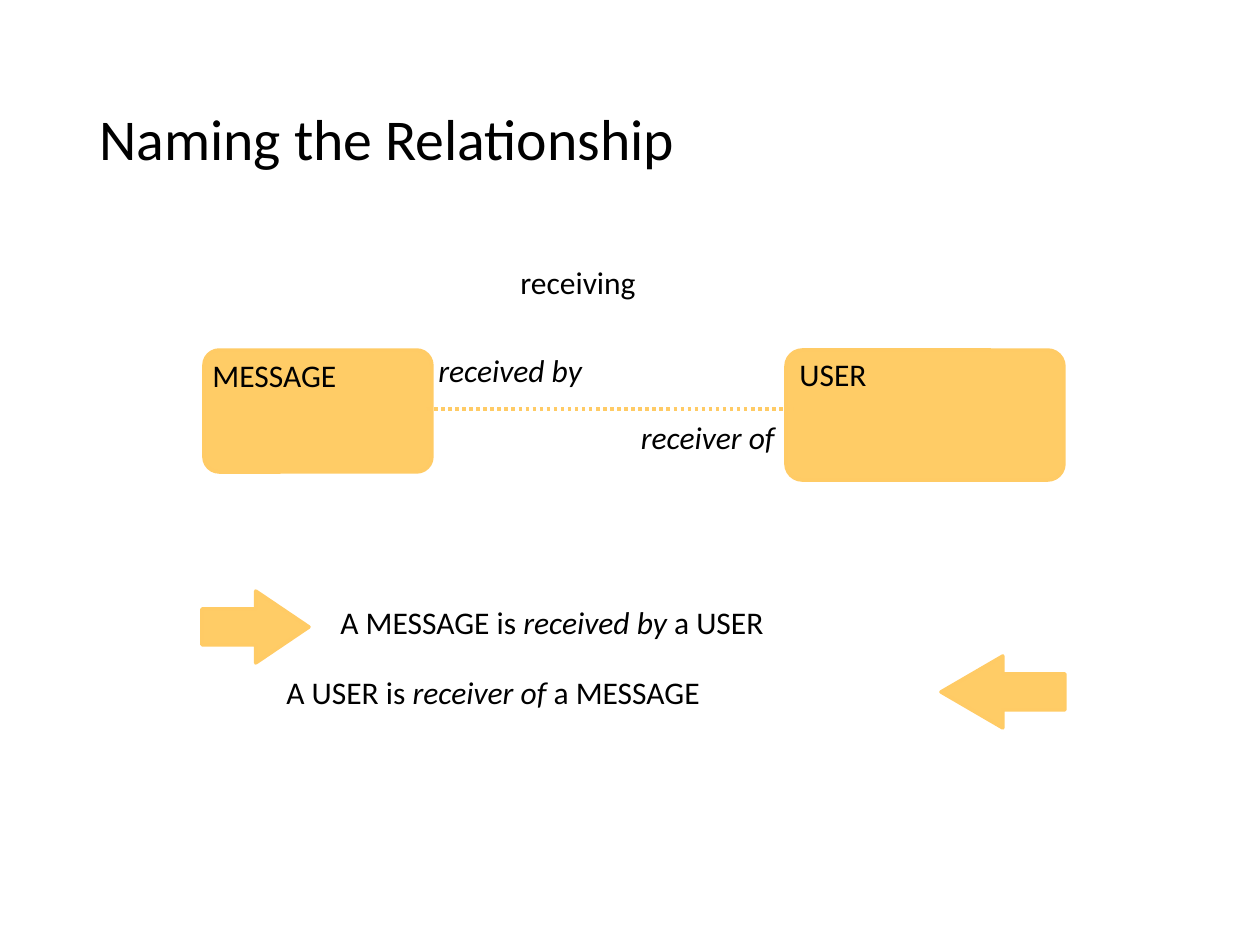
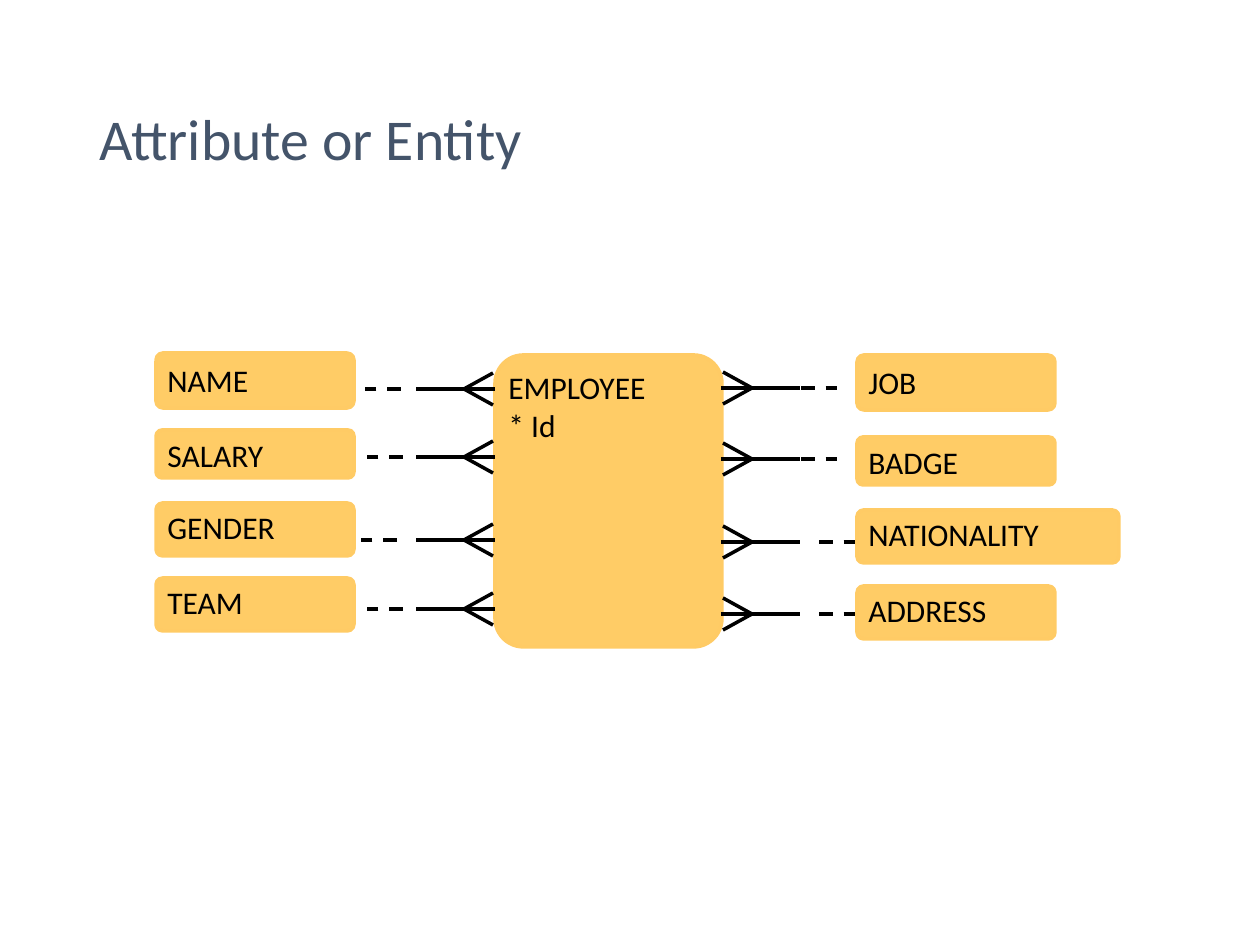
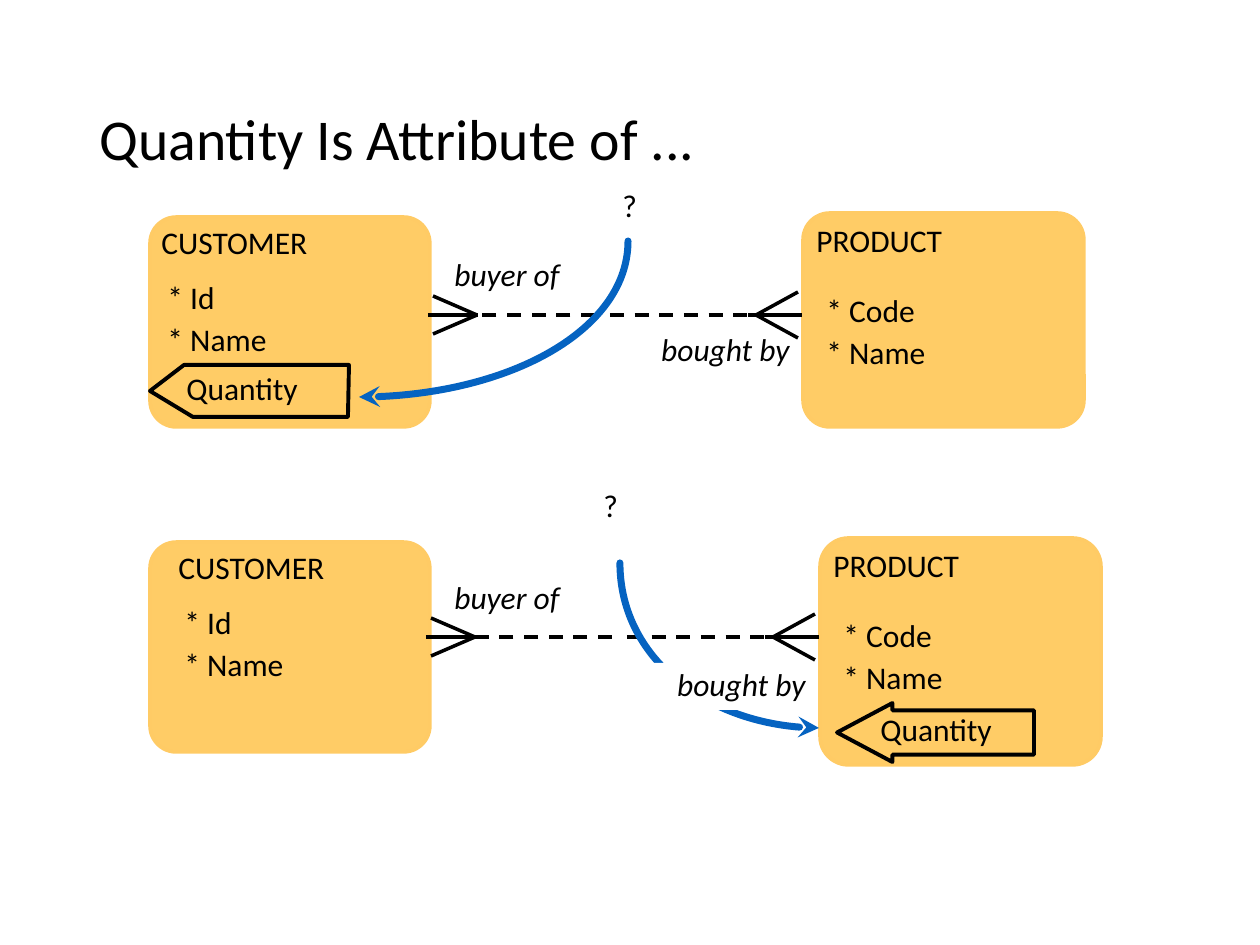
from dataclasses import dataclass

from lxml import etree
from pptx import Presentation
from pptx.dml.color import RGBColor
from pptx.enum.dml import MSO_LINE
from pptx.enum.shapes import MSO_CONNECTOR, MSO_SHAPE
from pptx.enum.text import MSO_ANCHOR, PP_ALIGN
from pptx.oxml.ns import qn
from pptx.util import Emu, Pt

SCALE = 914400 / 126
SLIDE_WIDTH, SLIDE_HEIGHT = 1260, 945
BLANK_LAYOUT = 6
ROUNDED = MSO_SHAPE.ROUNDED_RECTANGLE
LEFT_ARROW, RIGHT_ARROW = MSO_SHAPE.LEFT_ARROW, MSO_SHAPE.RIGHT_ARROW
STRAIGHT = MSO_CONNECTOR.STRAIGHT
DASH, DOTS = MSO_LINE.DASH, MSO_LINE.ROUND_DOT
RIGHT, MIDDLE, TOP = PP_ALIGN.RIGHT, MSO_ANCHOR.MIDDLE, MSO_ANCHOR.TOP


@dataclass(frozen=True)
class Theme:
    """Colours, font, type sizes and line widths of the deck."""
    font: str = "Calibri"
    ink: str = "000000"
    slate: str = "44546A"
    paper: str = "FFFFFF"
    entity: str = "FFCC66"
    entity_edge: str = "FFCB65"
    curve: str = "0563C1"
    title_size: int = 33
    body_size: int = 18
    line: float = 2
    tag_line: float = 2.25
    curve_line: float = 4


THEME = Theme()


def px(length):
    """Turn a length in px into EMU."""
    return Emu(round(length * SCALE))


def color(value):
    """Turn a hex string into a colour."""
    return RGBColor.from_string(value)


def add_text(slide, text, left, top, width, height=50, *, size=THEME.body_size,
             ink=THEME.ink, align=None, anchor=TOP, italic=False, spacing=None,
             next_spacing=None, gap=0, fill=None):
    """Add a text box; newlines part paragraphs and underscores enclose italics."""
    shape = slide.shapes.add_textbox(px(left), px(top), px(width), px(height))
    if fill:
        shape.fill.solid()
        shape.fill.fore_color.rgb = color(fill)
    frame = shape.text_frame
    frame.word_wrap = True
    frame.vertical_anchor = anchor
    for index, line in enumerate(text.split("\n")):
        paragraph = frame.add_paragraph() if index else frame.paragraphs[0]
        paragraph.alignment = align
        paragraph.line_spacing = next_spacing if index else spacing
        if index:
            paragraph.space_before = Pt(gap)
        for position, part in enumerate(line.split("_")):
            run = paragraph.add_run()
            run.text = part
            run.font.name = THEME.font
            run.font.size = Pt(size)
            run.font.italic = italic or position % 2 == 1
            run.font.color.rgb = color(ink)


def add_title(slide, text, ink=THEME.ink):
    """Add the slide title."""
    add_text(slide, text, 87, 50, 1086, 183, size=THEME.title_size, ink=ink,
             anchor=MIDDLE, spacing=0.9)


def style_shape(shape, edge, width, fill=None):
    """Give a shape its outline and fill, without a shadow."""
    shape.shadow.inherit = False
    shape.line.color.rgb = color(edge)
    shape.line.width = Pt(width)
    if fill:
        shape.fill.solid()
        shape.fill.fore_color.rgb = color(fill)
    else:
        shape.fill.background()


def add_preset(slide, kind, left, top, width, height, adjustments,
               edge=THEME.entity_edge, line=THEME.line, fill=THEME.entity):
    """Add a preset shape in the entity style."""
    shape = slide.shapes.add_shape(kind, px(left), px(top), px(width), px(height))
    for index, value in enumerate(adjustments):
        shape.adjustments[index] = value
    style_shape(shape, edge, line, fill)


def add_entity(slide, left, top, width, height):
    """Add a rounded entity box."""
    add_preset(slide, ROUNDED, left, top, width, height, [0.125])


def add_line(slide, start, end, ink=THEME.ink, dash=None):
    """Add a straight line between two points."""
    connector = slide.shapes.add_connector(STRAIGHT, *map(px, (*start, *end)))
    connector.line.color.rgb = color(ink)
    connector.line.width = Pt(THEME.line)
    if dash:
        connector.line.dash_style = dash
    etree.SubElement(connector._element.spPr, qn("a:effectLst"))


def add_crow_foot(slide, edge, axis, direction, stem, prong, tip, spread):
    """Add a stem and two prongs that open towards the entity edge."""
    add_line(slide, (edge, axis), (edge + direction * stem, axis))
    for side in (-1, 1):
        add_line(slide, (edge + direction * prong, axis + side * spread),
                 (edge + direction * tip, axis))


def add_outline(slide, points, closed):
    """Add an unfilled freeform through the points."""
    (left, top), *others = [(px(x), px(y)) for x, y in points]
    builder = slide.shapes.build_freeform(left, top)
    builder.add_line_segments(others, close=closed)
    return builder.convert_to_shape()


def add_curved_arrow(slide, start, end):
    """Add a quarter curve that leaves downwards and arrives sideways."""
    (left, top), (right, bottom) = start, end
    controls = [start, (left, top + round((bottom - top) * 0.55)),
                (right - round((right - left) * 0.55), bottom), end]
    shape = add_outline(slide, controls, closed=False)
    style_shape(shape, THEME.curve, THEME.curve_line)
    path = next(shape._element.iter(qn("a:path")))
    segments = path.findall(qn("a:lnTo"))
    bezier = etree.SubElement(path, qn("a:cubicBezTo"))
    for segment in segments:
        bezier.append(segment[0])
        path.remove(segment)
    outline = shape.line._get_or_add_ln()
    outline.set("cap", "rnd")
    etree.SubElement(outline, qn("a:round"))
    etree.SubElement(outline, qn("a:tailEnd"), type="stealth")


def naming_diagram(slide, left, top):
    """Draw two entities and the named relationship between them."""
    add_entity(slide, left, top, 228, 122)
    add_entity(slide, left + 582, top, 278, 130)
    add_line(slide, (left + 223, top + 59), (left + 590, top + 59),
             ink=THEME.entity_edge, dash=DOTS)
    add_text(slide, "MESSAGE", left - 4, top, 223)
    add_text(slide, "USER", left + 583, top - 1, 284)
    add_text(slide, "receiving", left + 304, top - 93, 194)
    add_text(slide, "received by", left + 222, top - 5, 223, italic=True)
    add_text(slide, "receiver of", left + 386, top + 62, 197, italic=True, align=RIGHT)


def reading_sentences(slide, left, top):
    """Draw the sentence for each reading direction with its arrow."""
    add_preset(slide, RIGHT_ARROW, left, top, 107, 72, [0.5, 0.74])
    add_preset(slide, LEFT_ARROW, left + 739, top + 65, 124, 72, [0.5, 0.86])
    add_text(slide, "A MESSAGE is _received by_ a USER", left + 126, top + 9, 690,
             spacing=0.95)
    add_text(slide, "A USER is _receiver of_ a MESSAGE", left + 72, top + 79, 677,
             spacing=0.95)


def attribute_column(slide, left, edge, direction, rows):
    """Draw a column of entities, each with its link to the centre entity."""
    for (name, top, width, axis, gap), (height, shift) in zip(
            rows, ((55, 2), (48, 0), (53, -1), (53, -1))):
        add_entity(slide, left, top, width, height)
        add_text(slide, name, left - 1, top + shift, width + 28)
        add_crow_foot(slide, edge, axis, direction, stem=79, prong=2, tip=31, spread=16)
        add_line(slide, (edge + direction * gap, axis),
                 (edge + direction * (gap + 36), axis), dash=DASH)


def employee_diagram(slide, left, top):
    """Draw the employee entity between its two columns."""
    add_entity(slide, left, top, 227, 292)
    add_text(slide, "EMPLOYEE\n* Id", left + 1, top + 7, 252, 88)
    attribute_column(slide, left - 339, left, -1, [
        ("NAME", top - 2, 198, top + 34, 94),
        ("SALARY", top + 75, 198, top + 102, 92),
        ("GENDER", top + 148, 198, top + 185, 98),
        ("TEAM", top + 223, 198, top + 254, 92)])
    attribute_column(slide, left + 362, left + 226, 1, [
        ("JOB", top, 198, top + 33, 80),
        ("BADGE", top + 82, 198, top + 104, 80),
        ("NATIONALITY", top + 155, 262, top + 187, 98),
        ("ADDRESS", top + 231, 198, top + 259, 98)])


def entity_text(slide, name, attributes, left, top, indent, drop):
    """Add an entity name and its attributes below."""
    add_text(slide, name, left, top, 270)
    add_text(slide, attributes, left + indent, top + drop, 184, 92,
             next_spacing=0.6, gap=10)


def purchase_panel(slide, left, top, product, product_height, name_indent, axis, foot):
    """Draw customer and product with the buying relationship."""
    product += left
    axis += top
    add_entity(slide, left, top, 280, 210)
    add_entity(slide, product, top - 4, 281, product_height)
    add_line(slide, (product - 208, axis), (product - 374, axis), dash=DASH)
    add_line(slide, (product - 193, axis), (product, axis), dash=DASH)
    add_crow_foot(slide, left + foot, axis, 1, stem=50, prong=5, tip=49, spread=19)
    add_crow_foot(slide, product - 1, axis, -1, stem=54, prong=4, tip=46, spread=23)
    entity_text(slide, "CUSTOMER", "* Id\n* Name", left + name_indent, top, 6, 55)
    entity_text(slide, "PRODUCT", "* Code\n* Name", product + 1, top - 2, 10, 70)


def question_labels(slide, question, start, end, buyer, bought, bought_fill=None):
    """Draw the question, its curved arrow and the relationship names."""
    add_curved_arrow(slide, start, end)
    add_text(slide, "?", *question, 90)
    add_text(slide, "buyer of", *buyer, 238, 47, italic=True, spacing=0.9)
    add_text(slide, "bought by", *bought, 238, 47, italic=True, spacing=0.9,
             align=RIGHT, fill=bought_fill)


def customer_quantity(slide, left, top):
    """Draw the quantity tag in the customer entity."""
    tag = add_outline(slide, [(left + 34, top), (left + 199, top), (left + 198, top + 52),
                              (left + 43, top + 52), (left, top + 26)], closed=True)
    style_shape(tag, THEME.ink, THEME.tag_line)
    add_text(slide, "Quantity", left + 24, top - 2, 161)


def product_quantity(slide, left, top):
    """Draw the quantity tag in the product entity."""
    add_preset(slide, LEFT_ARROW, left, top, 197, 59, [0.75, 0.94],
               edge=THEME.ink, line=THEME.tag_line, fill=None)
    add_text(slide, "Quantity", left + 31, top + 1, 161)


def naming_slide(slide):
    """Fill the slide on naming a relationship."""
    add_title(slide, "Naming the Relationship")
    naming_diagram(slide, 204, 350)
    reading_sentences(slide, 202, 591)


def attribute_slide(slide):
    """Fill the slide on attributes and entities."""
    add_title(slide, "Attribute or Entity", ink=THEME.slate)
    employee_diagram(slide, 495, 355)


def quantity_slide(slide):
    """Fill the slide on the owner of the quantity."""
    add_title(slide, "Quantity Is Attribute of ...")
    purchase_panel(slide, 150, 217, product=653, product_height=214,
                   name_indent=-1, axis=98, foot=278)
    question_labels(slide, (610, 180), (628, 241), (359, 397), (442, 253), (564, 328))
    customer_quantity(slide, 150, 365)
    purchase_panel(slide, 150, 542, product=670, product_height=227,
                   name_indent=16, axis=95, foot=276)
    question_labels(slide, (591, 480), (620, 563), (819, 728), (442, 576), (580, 663),
                    bought_fill=THEME.paper)
    product_quantity(slide, 837, 703)


def main():
    """Build and save the presentation."""
    presentation = Presentation()
    presentation.slide_width = px(SLIDE_WIDTH)
    presentation.slide_height = px(SLIDE_HEIGHT)
    for fill_slide in (naming_slide, attribute_slide, quantity_slide):
        fill_slide(presentation.slides.add_slide(presentation.slide_layouts[BLANK_LAYOUT]))
    presentation.save("out.pptx")


if __name__ == "__main__":
    main()
